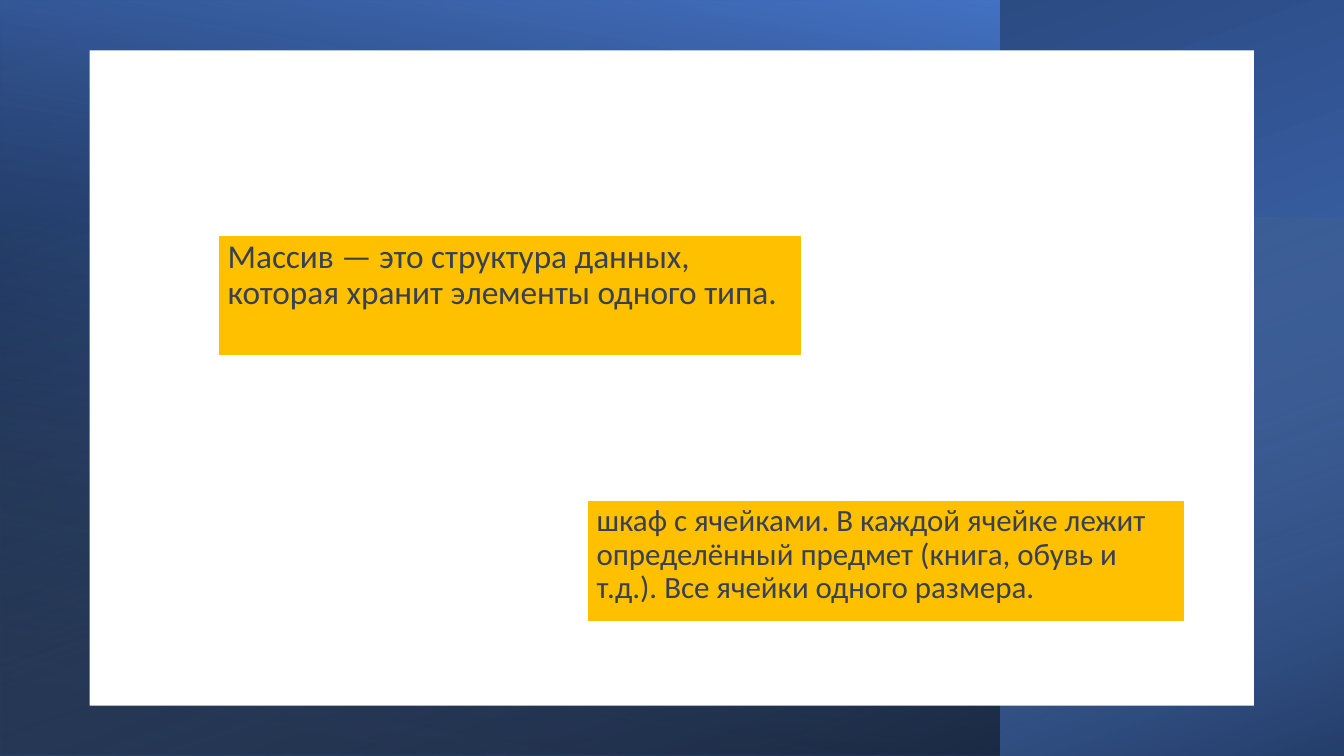
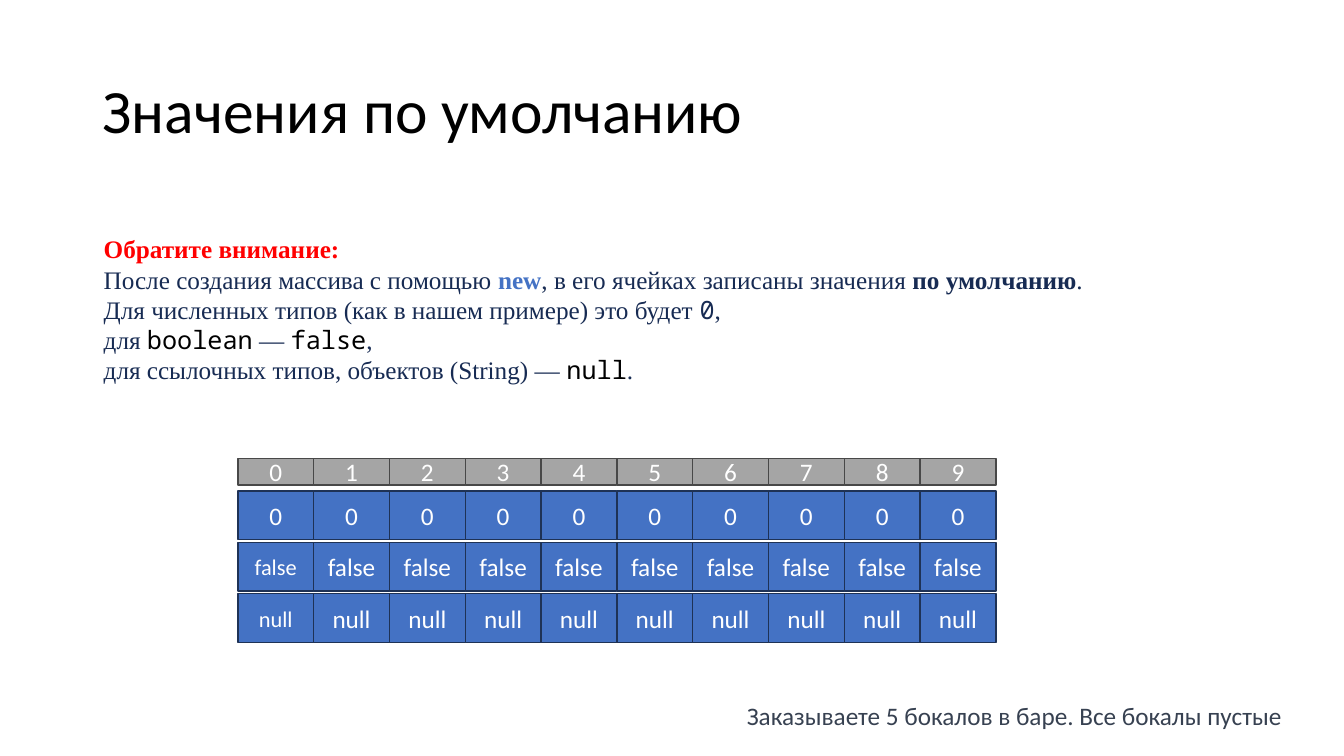
"""Build two slides on arrays: the definition and the default values."""
from dataclasses import dataclass
from typing import Any, NamedTuple, Optional

from pptx import Presentation
from pptx.dml.color import RGBColor
from pptx.enum.shapes import MSO_SHAPE
from pptx.enum.text import MSO_ANCHOR as Anchor, MSO_AUTO_SIZE as AutoSize, PP_ALIGN as Align
from pptx.oxml.ns import qn
from pptx.oxml.xmlchemy import OxmlElement
from pptx.util import Inches, Pt

WIDTH, HEIGHT = Inches(13.333), Inches(7.5)
TITLE_ONLY, BLANK = 5, 6


@dataclass(frozen=True)
class Theme:
    black: str = "000000"
    white: str = "FFFFFF"
    blue: str = "4472C4"
    deep_blue: str = "203864"
    pale_blue: str = "9DC3E6"
    blue_edge: str = "1E3256"
    gray: str = "A5A5A5"
    gray_edge: str = "484848"
    amber: str = "FFC000"
    slate: str = "374151"
    navy: str = "172B53"
    red: str = "FF0000"
    sans: str = "Calibri"
    serif: str = "Times New Roman"
    mono: str = "Noto Sans Mono"
    title_size: float = 44
    body_size: float = 18
    small_size: float = 16


THEME = Theme()


class Area(NamedTuple):
    left: float
    top: float
    width: float
    height: float

    def lengths(self) -> tuple[int, int, int, int]:
        return (int(self.left * WIDTH / 100), int(self.top * HEIGHT / 100),
                int(self.width * WIDTH / 100), int(self.height * HEIGHT / 100))


class Stop(NamedTuple):
    position: float
    color: str
    opacity: int = 100


class Backdrop(NamedTuple):
    area: Area
    rotation: int
    angle: int
    stops: tuple[Stop, Stop]


class Note(NamedTuple):
    area: Area
    size: float
    text: str


class Span(NamedTuple):
    text: str
    color: str = THEME.navy
    font: str = THEME.serif
    bold: bool = False


class Row(NamedTuple):
    top: float
    height: float
    fill: str
    edge: str
    values: list[str]
    first_size: float = THEME.body_size


BACKDROPS = (
    Backdrop(Area(0, 0, 100, 100), 270, 200,
             (Stop(0.08, THEME.blue), Stop(1, THEME.deep_blue))),
    Backdrop(Area(0, 0, 74.4, 100), 180, 80,
             (Stop(0.08, THEME.black, 52), Stop(1, THEME.blue))),
    Backdrop(Area(0, 28.73, 100, 71.27), 270, 20,
             (Stop(0, THEME.pale_blue, 0), Stop(1, THEME.black, 46))),
)
PANEL = Area(6.67, 6.67, 86.63, 86.67)
NOTES = (
    Note(Area(16.2, 31.07, 43.5, 16), 23.8,
         "Массив — это структура данных, которая хранит элементы одного типа."),
    Note(Area(43.65, 66.13, 44.55, 16.13), 22.1,
         "шкаф с ячейками. В каждой ячейке лежит определённый предмет "
         "(книга, обувь и т.д.). Все ячейки одного размера."),
)

TITLE_AREA = Area(6.9, 5.33, 86.25, 19.33)
EXPLANATION_AREA = Area(6.98, 30.27, 84.83, 21.6)
EXPLANATION = (
    (Span("Обратите внимание: ", THEME.red, bold=True),),
    (Span("После создания массива с помощью "), Span("new", THEME.blue, bold=True),
     Span(", в его ячейках записаны значения "), Span("по умолчанию", bold=True), Span(". ")),
    (Span("Для численных типов (как в нашем примере) это будет "),
     Span("0", font=THEME.mono), Span(", ")),
    (Span("для "), Span("boolean", THEME.black, THEME.mono), Span(" — "),
     Span("false", THEME.black, THEME.mono), Span(", ")),
    (Span("для ссылочных типов, объектов (String) — "),
     Span("null", THEME.black, THEME.mono), Span(". ")),
)
REMARK_AREA = Area(54.83, 92, 45.17, 5.33)
REMARK = "Заказываете 5 бокалов в баре. Все бокалы пустые"

CELL_COUNT = 10
CELLS_LEFT, CELL_WIDTH = 17.7, 5.64
VALUES_TOP, VALUES_PITCH, VALUES_HEIGHT = 64.93, 6.8, 6.45
DEFAULTS = (("0", THEME.body_size), ("false", THEME.small_size), ("null", THEME.small_size))
ROWS = [Row(60.67, 3.47, THEME.gray, THEME.gray_edge, [str(i) for i in range(CELL_COUNT)])] + [
    Row(VALUES_TOP + index * VALUES_PITCH, VALUES_HEIGHT, THEME.blue, THEME.blue_edge,
        [value] * CELL_COUNT, size)
    for index, (value, size) in enumerate(DEFAULTS)
]


def rgb(color: str) -> RGBColor:
    return RGBColor.from_string(color)


def style(run: Any, size: float, color: str, font: str = THEME.sans, bold: bool = False) -> None:
    run.font.size = Pt(size)
    run.font.name = font
    run.font.bold = bold
    run.font.color.rgb = rgb(color)


def write(box: Any, text: str, size: float, color: str, align: Align = Align.LEFT,
          anchor: Anchor = Anchor.TOP) -> Any:
    frame = box.text_frame
    frame.text = text
    frame.word_wrap = True
    frame.vertical_anchor = anchor
    para = frame.paragraphs[0]
    para.alignment = align
    style(para.runs[0], size, color)
    return para


def add_rect(shapes: Any, area: Area, fill: Optional[str] = None,
             edge: Optional[str] = None, weight: float = 1) -> Any:
    box = shapes.add_shape(MSO_SHAPE.RECTANGLE, *area.lengths())
    box.shadow.inherit = False
    if fill:
        box.fill.solid()
        box.fill.fore_color.rgb = rgb(fill)
    if edge:
        box.line.color.rgb = rgb(edge)
        box.line.width = Pt(weight)
    else:
        box.line.fill.background()
    return box


def add_backdrop(page: Any, backdrop: Backdrop) -> None:
    box = add_rect(page.shapes, backdrop.area)
    if backdrop.rotation % 180:
        left, top, width, height = backdrop.area.lengths()
        box.left, box.top = left + (width - height) // 2, top + (height - width) // 2
        box.width, box.height = height, width
    box.rotation = backdrop.rotation
    properties = box.element.spPr
    properties.find(qn("a:xfrm")).set("flipH", "1")
    box.fill.gradient()
    box.fill.gradient_angle = 360 - backdrop.angle
    for target, stop in zip(box.fill.gradient_stops, backdrop.stops):
        target.position = stop.position
        target.color.rgb = rgb(stop.color)
    for color, stop in zip(properties.iter(qn("a:srgbClr")), backdrop.stops):
        if stop.opacity < 100:
            alpha = OxmlElement("a:alpha")
            alpha.set("val", str(stop.opacity * 1000))
            color.append(alpha)


def add_note(page: Any, note: Note) -> None:
    box = add_rect(page.shapes, note.area, THEME.amber, THEME.white, 1.5)
    para = write(box, note.text, note.size, THEME.slate)
    para.line_spacing = 0.9
    para.space_before = Pt(8.5)


def add_title(page: Any, text: str) -> None:
    title = page.shapes.title
    title.left, title.top, title.width, title.height = TITLE_AREA.lengths()
    para = write(title, text, THEME.title_size, THEME.black, anchor=Anchor.MIDDLE)
    para.line_spacing = 0.9


def add_explanation(page: Any) -> None:
    frame = page.shapes.add_textbox(*EXPLANATION_AREA.lengths()).text_frame
    frame.word_wrap = True
    frame.auto_size = AutoSize.SHAPE_TO_FIT_TEXT
    for index, spans in enumerate(EXPLANATION):
        para = frame.add_paragraph() if index else frame.paragraphs[0]
        for span in spans:
            run = para.add_run()
            run.text = span.text
            style(run, THEME.body_size, span.color, span.font, span.bold)


def add_row(page: Any, row: Row) -> None:
    group = page.shapes.add_group_shape()
    for column, value in enumerate(row.values):
        area = Area(CELLS_LEFT + column * CELL_WIDTH, row.top, CELL_WIDTH, row.height)
        cell = add_rect(group.shapes, area, row.fill, row.edge)
        size = THEME.body_size if column else row.first_size
        write(cell, value, size, THEME.white, Align.CENTER, Anchor.MIDDLE)


def build_definition(deck: Any) -> None:
    page = deck.slides.add_slide(deck.slide_layouts[BLANK])
    for backdrop in BACKDROPS:
        add_backdrop(page, backdrop)
    add_rect(page.shapes, PANEL, THEME.white)
    for note in NOTES:
        add_note(page, note)


def build_defaults(deck: Any) -> None:
    page = deck.slides.add_slide(deck.slide_layouts[TITLE_ONLY])
    add_title(page, "Значения по умолчанию")
    add_explanation(page)
    for row in ROWS:
        add_row(page, row)
    remark = page.shapes.add_textbox(*REMARK_AREA.lengths())
    write(remark, REMARK, THEME.body_size, THEME.slate)
    remark.text_frame.auto_size = AutoSize.SHAPE_TO_FIT_TEXT


def main() -> None:
    deck = Presentation()
    deck.slide_width, deck.slide_height = WIDTH, HEIGHT
    build_definition(deck)
    build_defaults(deck)
    deck.save("out.pptx")


main()
